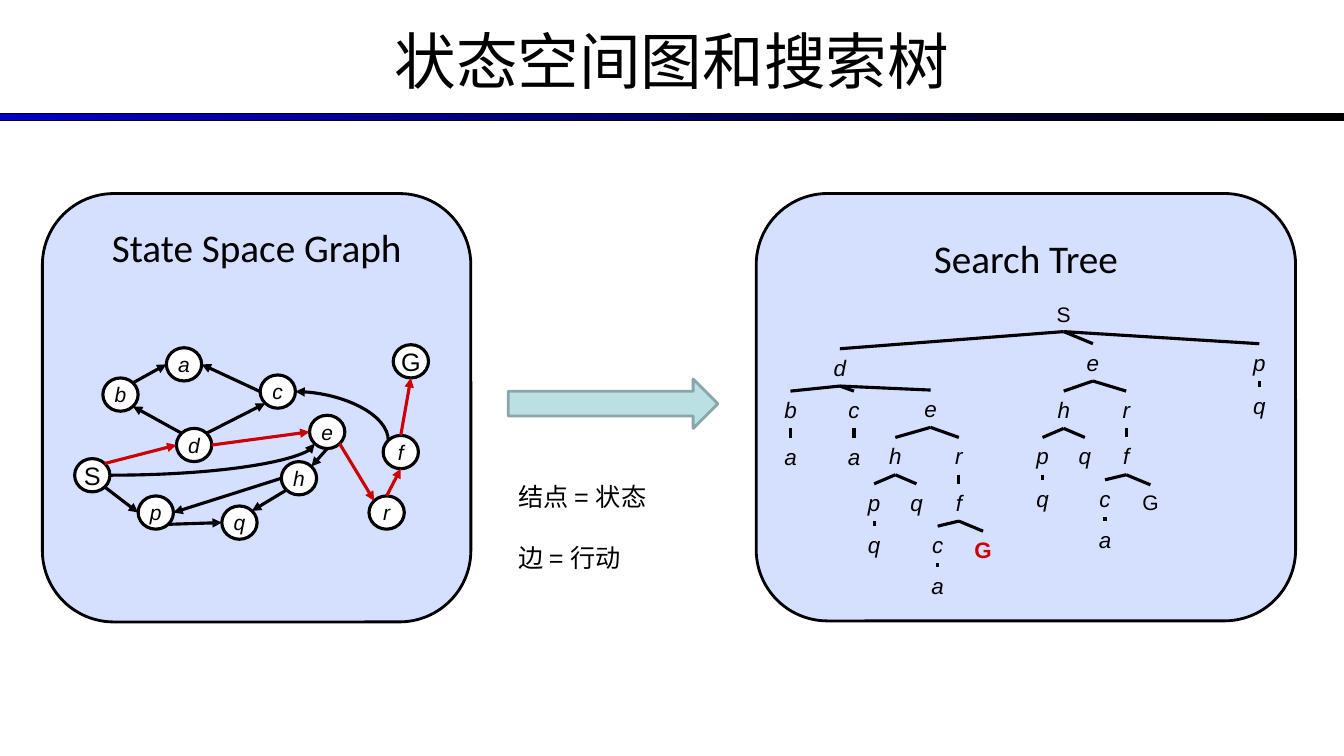
from dataclasses import dataclass
from math import cos, radians, sin

from lxml import etree
from pptx import Presentation
from pptx.dml.color import RGBColor
from pptx.enum.shapes import MSO_CONNECTOR, MSO_SHAPE
from pptx.enum.text import MSO_ANCHOR, MSO_AUTO_SIZE, PP_ALIGN
from pptx.oxml.ns import qn
from pptx.util import Inches, Pt

STRAIGHT, CURVE = MSO_CONNECTOR.STRAIGHT, MSO_CONNECTOR.CURVE
RECT, ROUND = MSO_SHAPE.RECTANGLE, MSO_SHAPE.ROUNDED_RECTANGLE
DISC, ARROW = MSO_SHAPE.FLOWCHART_CONNECTOR, MSO_SHAPE.RIGHT_ARROW
LEFT, CENTER = PP_ALIGN.LEFT, PP_ALIGN.CENTER
MIDDLE = MSO_ANCHOR.MIDDLE
GROW = MSO_AUTO_SIZE.SHAPE_TO_FIT_TEXT


@dataclass(frozen=True)
class Theme:
    black: str = "000000"
    white: str = "FFFFFF"
    red: str = "CC0000"
    blue: str = "0000CC"
    panel: str = "D5DFFF"
    teal: str = "BBE0E3"
    edge: str = "8AA6A8"
    sans: str = "Arial"
    head: str = "Calibri"
    title: int = 44
    label: int = 28
    body: int = 18
    leaf: int = 16
    small: int = 15
    thick: float = 2.25
    frame: float = 2


THEME = Theme()


def rgb(code):
    return RGBColor.from_string(code)


def write(shape, text, size, font=THEME.sans, color=THEME.black,
          align=CENTER, bold=False, italic=False):
    shape.text_frame.text = text
    for para in shape.text_frame.paragraphs:
        para.alignment = align
        for run in para.runs:
            face = run.font
            face.name, face.size = font, Pt(size)
            face.bold, face.italic = bold, italic
            face.color.rgb = rgb(color)


def add_text(slide, box, text, size, **style):
    label = slide.shapes.add_textbox(*map(Inches, box))
    label.text_frame.word_wrap = True
    label.text_frame.auto_size = GROW
    write(label, text, size, **style)
    return label


def add_form(slide, kind, box, fill, line, width):
    form = slide.shapes.add_shape(kind, *map(Inches, box))
    form.shadow.inherit = False
    form.fill.solid()
    form.fill.fore_color.rgb = rgb(fill)
    form.line.color.rgb = rgb(line)
    form.line.width = Pt(width)
    return form


def add_line(slide, start, end, color=THEME.black, kind=STRAIGHT, tip=None):
    line = slide.shapes.add_connector(kind, *map(Inches, (*start, *end)))
    line.line.color.rgb = rgb(color)
    line.line.width = Pt(THEME.thick)
    props = line.element.spPr
    if tip:
        etree.SubElement(props.find(qn("a:ln")), qn(tip), type="triangle")
    etree.SubElement(props, qn("a:effectLst"))
    if kind == CURVE:
        props.find(qn("a:prstGeom")).set("prst", "curvedConnector2")


def add_head(slide, box):
    left, top, width, height = box
    title = slide.shapes.title
    title.left, title.top, title.width, title.height = map(Inches, box)
    title.text_frame.vertical_anchor = MIDDLE
    write(title, "状态空间图和搜索树", THEME.title, THEME.head)
    rule = add_form(slide, RECT, (left, top + 1.16, width, 0.07),
                    THEME.blue, THEME.black, 0.75)
    rule.fill.gradient()
    rule.fill.gradient_angle = 0
    for stop, color in zip(rule.fill.gradient_stops, (THEME.blue, THEME.black)):
        stop.color.rgb = rgb(color)


NODES = {
    "S": (0.32, 2.63), "G": (3.48, 1.5), "d": (1.33, 2.33), "b": (0.6, 1.83),
    "p": (0.95, 3), "q": (1.78, 3.1), "c": (2.16, 1.8), "e": (2.65, 2.2),
    "h": (2.37, 2.66), "a": (1.23, 1.53), "f": (3.38, 2.4), "r": (3.24, 3),
}
SITES = {name: 45 * step for step, name in
         enumerate(("E", "SE", "S", "SW", "W", "NW", "N", "NE"))}
EDGES = (
    "S SE p W", "p SE q W", "h SW q NE", "h W p E", "e S h NE",
    "d NW b SE", "b NE a W", "c W a E", "d NE c SW",
)
ROUTE = ("S NE d W", "d E e W", "e SE r NW", "r N f S", "f N G S")
BENDS = (("c E f NW", "a:headEnd"), ("S E e SW", "a:tailEnd"))
DISC_W, DISC_H = 0.35, 0.33


def add_graph(slide, box):
    left, top, width, height = box
    add_form(slide, ROUND, box, THEME.panel, THEME.black, THEME.frame)
    add_text(slide, (left + 0.25, top + 0.25, width - 0.5, 0.57),
             "State Space Graph", THEME.label, font=THEME.head)

    for name, (x, y) in NODES.items():
        node = add_form(slide, DISC, (left + x, top + y, DISC_W, DISC_H),
                        THEME.white, THEME.black, THEME.thick)
        node.text_frame.word_wrap = False
        node.text_frame.vertical_anchor = MIDDLE
        size = THEME.body if name.isupper() else THEME.small
        write(node, name, size, italic=name.islower())

    def site(name, side):
        x, y = NODES[name]
        turn = radians(SITES[side])
        return (left + x + DISC_W / 2 * (1 + cos(turn)),
                top + y + DISC_H / 2 * (1 + sin(turn)))

    def link(edge, color=THEME.black, kind=STRAIGHT, tip="a:tailEnd"):
        first, out, last, into = edge.split()
        add_line(slide, site(first, out), site(last, into), color, kind, tip)

    for edge in EDGES:
        link(edge)
    for edge in ROUTE:
        link(edge, THEME.red)
    for edge, tip in BENDS:
        link(edge, kind=CURVE, tip=tip)


LOOKS = {
    "leaf": (0.35, 0.37, THEME.leaf, {"italic": True}),
    "root": (0.9, 0.35, THEME.small, {}),
    "end": (0.69, 0.35, THEME.small, {}),
    "goal": (0.69, 0.37, THEME.leaf, {"color": THEME.red, "bold": True}),
}


def twig(name, dx, dy, *kids, look="leaf"):
    return name, dx, dy, kids, look


def fork(dx, dy, near, far, look):
    return twig(
        "e", dx, dy,
        twig("h", near, 0.47,
             twig("p", -0.21, 0.46, twig("q", 0, 0.42)),
             twig("q", 0.21, 0.46)),
        twig("r", far, 0.47,
             twig("f", 0, 0.46,
                  twig("c", -0.21, 0.42, twig("a", 0, 0.41)),
                  twig("G", 0.24, 0.47, look=look))))


TREE = twig(
    "S", 3.05, 1.02,
    twig("d", -2.22, 0.52,
         twig("b", -0.49, 0.42, twig("a", 0, 0.47)),
         twig("c", 0.14, 0.42, twig("a", 0, 0.47)),
         fork(0.9, 0.41, -0.35, 0.28, "goal")),
    fork(0.29, 0.47, -0.29, 0.33, "end"),
    twig("p", 1.94, 0.47, twig("q", 0, 0.43)),
    look="root")


def grow(slide, node, x, y):
    name, dx, dy, kids, look = node
    width, height, size, style = LOOKS[look]
    x, y = x + dx, y + dy
    add_text(slide, (x - width / 2, y, width, height), name, size, **style)
    for kid in kids:
        add_line(slide, (x, y + height), (x + kid[1], y + kid[2]))
        grow(slide, kid, x, y)


def add_tree(slide, box):
    left, top, width, height = box
    add_form(slide, ROUND, box, THEME.panel, THEME.black, THEME.frame)
    add_text(slide, (left, top + 0.36, width, 0.57),
             "Search Tree", THEME.label, font=THEME.head)
    grow(slide, TREE, left, top)


def add_bridge(slide, box):
    left, top, width, height = box
    add_form(slide, ARROW, (left, top, 2.08, 0.49),
             THEME.teal, THEME.edge, THEME.frame)
    note = add_text(slide, (left, top + 0.67, width, height - 0.67),
                    "结点 = 状态\n边 = 行动", THEME.body, align=LEFT)
    for para in note.text_frame.paragraphs:
        para.line_spacing = 2.0


def main():
    deck = Presentation()
    deck.slide_width, deck.slide_height = Inches(13.33), Inches(7.5)
    slide = deck.slides.add_slide(deck.slide_layouts[5])
    add_head(slide, (0, -0.03, 13.33, 1.25))
    add_tree(slide, (7.5, 1.92, 5.35, 4.24))
    add_graph(slide, (0.42, 1.92, 4.25, 4.25))
    add_bridge(slide, (5.04, 3.76, 3.3, 1.89))
    deck.save("out.pptx")


if __name__ == "__main__":
    main()
